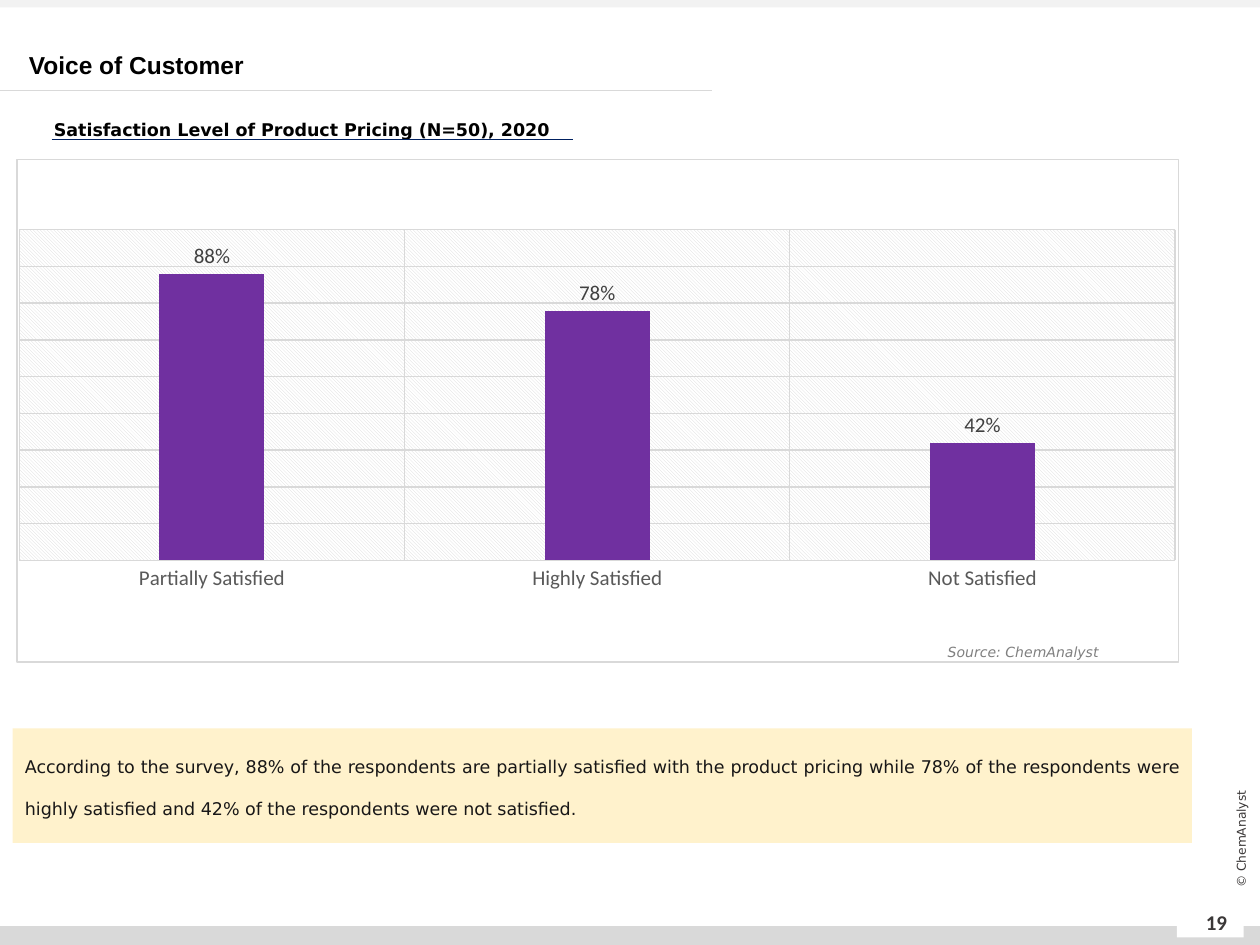
from lxml import etree
from pptx import Presentation
from pptx.chart.data import CategoryChartData
from pptx.dml.color import RGBColor
from pptx.enum import chart as ch, shapes, text
from pptx.oxml import parse_xml
from pptx.oxml.ns import nsdecls, qn
from pptx.util import Inches, Pt

BLACK = RGBColor(0, 0, 0)
WHITE = RGBColor(0xFF, 0xFF, 0xFF)
PALE = RGBColor(0xF2, 0xF2, 0xF2)
GREY = RGBColor(0xD9, 0xD9, 0xD9)
MID_GREY = RGBColor(0x80, 0x80, 0x80)
AXIS_GREY = RGBColor(0x59, 0x59, 0x59)
LABEL_GREY = RGBColor(0x40, 0x40, 0x40)
FOOTER_GREY = RGBColor(0x3B, 0x38, 0x38)
INK = RGBColor(0x18, 0x17, 0x17)
NAVY = RGBColor(0x00, 0x20, 0x60)
CREAM = RGBColor(0xFF, 0xF2, 0xCC)
PURPLE = RGBColor(0x70, 0x30, 0xA0)
SANS = "DejaVu Sans"


def add_rect(s, x, y, w, h, color):
    """Add a plain filled rectangle."""
    sp = s.shapes.add_shape(shapes.MSO_SHAPE.RECTANGLE,
                            Inches(x), Inches(y), Inches(w), Inches(h))
    sp.shadow.inherit = False
    sp.fill.solid()
    sp.fill.fore_color.rgb = color
    sp.line.fill.background()
    return sp


def add_rule(s, x, y, w, color):
    """Add a thin horizontal line."""
    line = s.shapes.add_connector(shapes.MSO_CONNECTOR.STRAIGHT,
                                  Inches(x), Inches(y), Inches(x + w), Inches(y))
    line.line.color.rgb = color
    line.line.width = Pt(0.5)
    etree.SubElement(line._element.spPr, qn("a:effectLst"))


def set_font(font, size, color, name="Calibri", bold=False, italic=False):
    """Set the face, size and colour of a font."""
    font.name, font.size, font.bold, font.italic = name, Pt(size), bold, italic
    font.color.rgb = color


def write(sp, words, size, color, name=SANS, bold=False, italic=False,
          align=text.PP_ALIGN.LEFT, anchor=text.MSO_ANCHOR.TOP, spacing=None):
    """Write one formatted paragraph into a shape."""
    tf = sp.text_frame
    tf.word_wrap = True
    tf.vertical_anchor = anchor
    p = tf.paragraphs[0]
    p.alignment = align
    p.line_spacing = spacing
    r = p.add_run()
    r.text = words
    set_font(r.font, size, color, name, bold, italic)


def add_text(s, x, y, w, h, words, size, color, **fmt):
    """Add a text box holding one paragraph."""
    sp = s.shapes.add_textbox(Inches(x), Inches(y), Inches(w), Inches(h))
    write(sp, words, size, color, **fmt)
    return sp


def add_frame(s, w, h):
    """Add the top and bottom bands, page number and copyright line."""
    add_rect(s, 0, h - 0.15, w, 0.15, GREY)
    add_rect(s, 0, 0, w, 0.06, PALE)
    add_rect(s, w - 0.66, h - 0.28, 0.53, 0.22, WHITE)
    centred = {"align": text.PP_ALIGN.CENTER, "anchor": text.MSO_ANCHOR.MIDDLE}
    add_text(s, w - 0.59, h - 0.38, 0.49, 0.4, "19", 12, FOOTER_GREY,
             name="Calibri", bold=True, **centred)
    sp = add_text(s, w - 0.75, h - 0.92, 1.2, 0.16, "© ChemAnalyst", 7,
                  FOOTER_GREY, **centred)
    sp.rotation = 270


def add_heading(s, x, y, w, h):
    """Add the slide title and the underlined chart heading."""
    sp = add_text(s, x + 0.13, y, w, h, "Voice of Customer", 14, BLACK,
                  name="Arial", bold=True, anchor=text.MSO_ANCHOR.BOTTOM)
    sp.text_frame.margin_bottom = 0
    add_rule(s, x, y + 0.57, 5.65, GREY)
    add_text(s, x + 0.33, y + 0.66, 5.93, 0.32,
             "Satisfaction Level of Product Pricing (N=50), 2020", 10, BLACK,
             bold=True, spacing=1.5)
    add_rule(s, x + 0.41, y + 0.96, 4.14, NAVY)


def style_line(line):
    """Give a chart line the common grey style."""
    line.color.rgb = GREY
    line.width = Pt(0.75)


def style_areas(chart):
    """Set the chart border, the hatched plot area and its layout."""
    ns = nsdecls("c", "a")
    plot_area = chart._chartSpace.chart.plotArea
    for old in plot_area.findall(qn("c:layout")):
        plot_area.remove(old)
    sides = "".join(f'<c:{tag} val="{val}"/>' for tag, val in (
        ("layoutTarget", "inner"), ("xMode", "edge"), ("yMode", "edge"),
        ("x", 0.002), ("y", 0.14), ("w", 0.995), ("h", 0.658)))
    plot_area.insert(0, parse_xml(
        f"<c:layout {ns}><c:manualLayout>{sides}</c:manualLayout></c:layout>"))
    plot_area.append(parse_xml(
        f'<c:spPr {ns}><a:pattFill prst="ltDnDiag">'
        f'<a:fgClr><a:srgbClr val="{GREY}"/></a:fgClr>'
        f'<a:bgClr><a:srgbClr val="{WHITE}"/></a:bgClr></a:pattFill></c:spPr>'))
    chart._chartSpace.chart.addnext(parse_xml(
        f'<c:spPr {ns}><a:solidFill><a:srgbClr val="{WHITE}"/></a:solidFill>'
        f'<a:ln w="{Pt(0.75)}"><a:solidFill><a:srgbClr val="{GREY}"/>'
        f'</a:solidFill></a:ln></c:spPr>'))


def add_survey_chart(s, x, y, w, h):
    """Add the satisfaction column chart with its source line."""
    data = CategoryChartData(number_format="0%")
    data.categories = ["Partially Satisfied", "Highly Satisfied", "Not Satisfied"]
    data.add_series("Series 1", (0.88, 0.78, 0.42))
    chart = s.shapes.add_chart(ch.XL_CHART_TYPE.COLUMN_CLUSTERED, Inches(x),
                               Inches(y), Inches(w), Inches(h), data).chart
    chart.has_title = chart.has_legend = False
    set_font(chart.font, 10, BLACK)

    cat, val = chart.category_axis, chart.value_axis
    for axis in (cat, val):
        axis.has_major_gridlines = True
        style_line(axis.major_gridlines.format.line)
    cat.major_tick_mark = ch.XL_TICK_MARK.NONE
    style_line(cat.format.line)
    set_font(cat.tick_labels.font, 12, AXIS_GREY)
    val.minimum_scale, val.maximum_scale, val.major_unit = 0.1, 1, 0.1
    val.visible = False

    plot = chart.plots[0]
    plot.gap_width, plot.overlap, plot.vary_by_categories = 267, -43, False
    fill = plot.series[0].format.fill
    fill.solid()
    fill.fore_color.rgb = PURPLE
    labels = plot.series[0].data_labels
    labels.show_value = True
    labels.position = ch.XL_LABEL_POSITION.OUTSIDE_END
    labels.number_format, labels.number_format_is_linked = "0%", False
    set_font(labels.font, 12, LABEL_GREY)
    style_areas(chart)

    add_text(s, x + 6.28, y + h - 0.2, 2.41, 0.24, "Source: ChemAnalyst", 8,
             MID_GREY, italic=True, align=text.PP_ALIGN.RIGHT)


def add_finding(s, x, y, w, h):
    """Add the highlighted summary of the survey."""
    write(add_rect(s, x, y, w, h, CREAM),
          "According to the survey, 88% of the respondents are partially "
          "satisfied with the product pricing while 78% of the respondents "
          "were highly satisfied and 42% of the respondents were not satisfied.",
          10, INK, align=text.PP_ALIGN.JUSTIFY, spacing=2.0)


def main():
    """Build the slide and save it."""
    prs = Presentation()
    prs.slide_width, prs.slide_height = Inches(10), Inches(7.5)
    s = prs.slides.add_slide(prs.slide_layouts[6])
    add_frame(s, 10, 7.5)
    add_heading(s, 0, 0.15, 8.45, 0.48)
    add_finding(s, 0.1, 5.78, 9.36, 0.91)
    add_survey_chart(s, 0.13, 1.26, 9.23, 4)
    prs.save("out.pptx")


if __name__ == "__main__":
    main()
